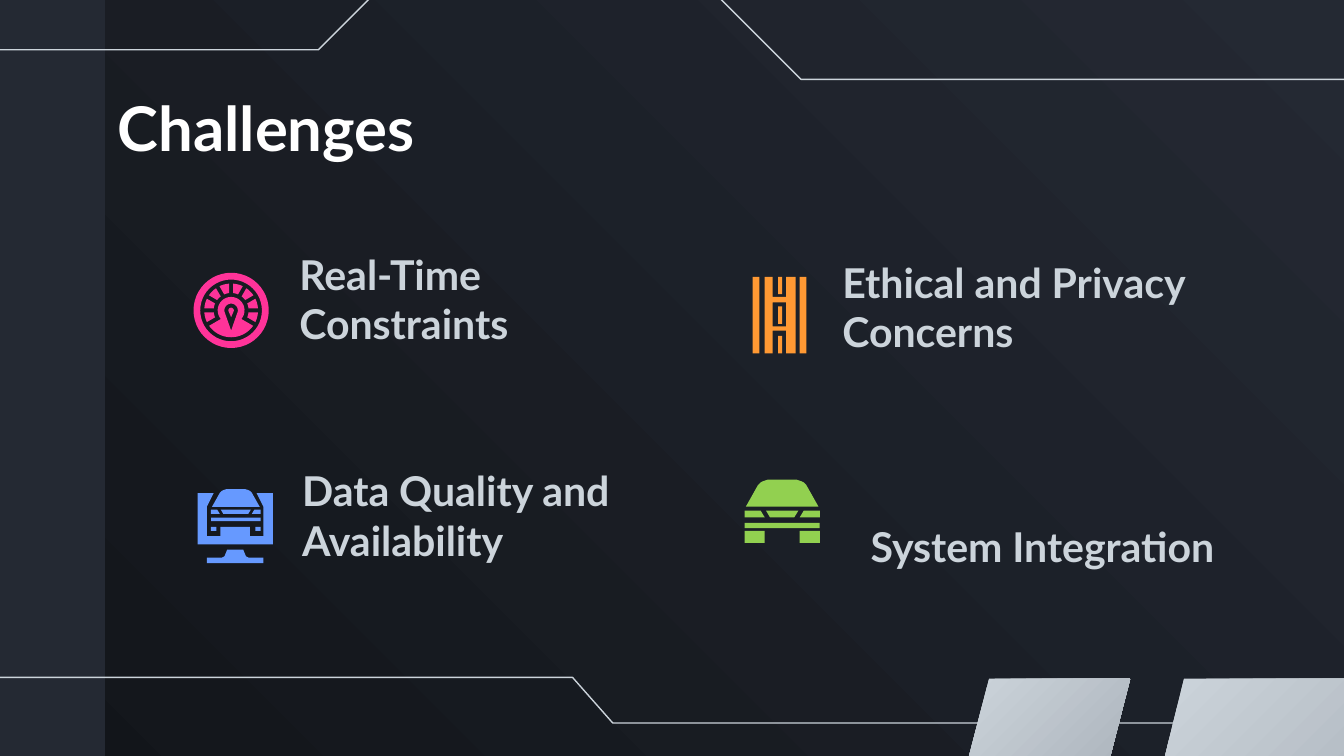
from math import asin, cos, degrees, radians, sin

from pptx import Presentation
from pptx.dml.color import RGBColor
from pptx.enum.shapes import MSO_SHAPE
from pptx.enum.text import MSO_ANCHOR
from pptx.util import Inches, Pt

RECTANGLE, DONUT = MSO_SHAPE.RECTANGLE, MSO_SHAPE.DONUT
TOP, BOTTOM = MSO_ANCHOR.TOP, MSO_ANCHOR.BOTTOM

NIGHT = RGBColor(0x12, 0x15, 0x1A)
SLATE = RGBColor(0x24, 0x29, 0x33)
SILVER = RGBColor(0xCC, 0xD4, 0xDB)
STEEL = RGBColor(0xAB, 0xB3, 0xBB)
WHITE = RGBColor(0xFF, 0xFF, 0xFF)
PINK = RGBColor(0xFF, 0x33, 0x99)
ORANGE = RGBColor(0xFF, 0x99, 0x33)
BLUE = RGBColor(0x66, 0x99, 0xFF)
GREEN = RGBColor(0x92, 0xD0, 0x50)

WIDTH = 10
HEIGHT = WIDTH * 9 / 16
SIDEBAR = 0.78
TITLE = "Challenges"
CHALLENGES = [
    ("Real-Time Constraints", (2.13, 1.88, 2.84, 0.81)),
    ("Ethical and Privacy Concerns", (6.17, 1.87, 2.84, 0.88)),
    ("Data Quality and Availability", (2.15, 3.49, 2.84, 0.81)),
    ("System Integration", (6.38, 3.45, 2.84, 0.9)),
]
CIRCUIT_LINES = [
    [(-0.04, 0.37), (2.37, 0.37), (2.8, -0.06), (5.31, -0.06), (5.96, 0.59), (10.13, 0.59)],
    [(-0.25, 5.04), (4.26, 5.04), (4.56, 5.38), (10.42, 5.38)],
]
SLANTED_PANELS = [
    [(7.36, 5.05), (7.17, 5.78), (8.22, 5.79), (8.41, 5.05)],
    [(8.81, 5.05), (8.63, 5.78), (10.84, 5.77), (10.84, 5.05)],
]


def blend(fill, first, last, angle):
    fill.gradient()
    fill.gradient_angle = angle
    for stop, color in zip(fill.gradient_stops, (first, last)):
        stop.color.rgb = color


def paint(shape, color):
    shape.shadow.inherit = False
    shape.fill.solid()
    shape.fill.fore_color.rgb = color
    shape.line.fill.background()


def outline(shapes, *contours, closed=True):
    scaled = [[(Inches(x), Inches(y)) for x, y in contour] for contour in contours]
    builder = shapes.build_freeform(*scaled[0][0])
    builder.add_line_segments(scaled[0][1:], close=closed)
    for contour in scaled[1:]:
        builder.move_to(*contour[0])
        builder.add_line_segments(contour[1:], close=closed)
    shape = builder.convert_to_shape()
    shape.shadow.inherit = False
    return shape


def block(shapes, color, left, top, width, height, kind=RECTANGLE):
    shape = shapes.add_shape(kind, Inches(left), Inches(top), Inches(width), Inches(height))
    paint(shape, color)
    return shape


def write(shapes, text, area, size=22, color=SILVER, anchor=BOTTOM):
    frame = shapes.add_textbox(*map(Inches, area)).text_frame
    frame.word_wrap = True
    frame.vertical_anchor = anchor
    frame.margin_left = frame.margin_right = Inches(0.1)
    frame.margin_top = frame.margin_bottom = Inches(0.1)
    paragraph = frame.paragraphs[0]
    paragraph.text = text
    font = paragraph.runs[0].font
    font.name, font.size, font.bold = "Lato", Pt(size), True
    font.color.rgb = color


def arc(center, radius, start, end, steps=24):
    angles = [radians(start + (end - start) * i / steps) for i in range(steps + 1)]
    return [(center[0] + radius * cos(a), center[1] + radius * sin(a)) for a in angles]


def draw_gauge(shapes, color, center):
    x, y = center
    rim, hub, reach, gap = 0.28, 0.1, 0.2, 0.03
    ring = block(shapes, color, x - rim, y - rim, 2 * rim, 2 * rim, DONUT)
    ring.adjustments[0] = 0.09
    for middle in range(165, 376, 30):
        outer, inner = (15 - degrees(asin(gap / 2 / r)) for r in (reach, 0.13))
        tick = (arc(center, reach, middle - outer, middle + outer, 6)
                + arc(center, 0.13, middle + inner, middle - inner, 6))
        paint(outline(shapes, tick), color)
    body = arc(center, hub, 140, 400) + arc(center, reach, 35, 145)
    socket = arc(center, 0.05, 165, 375) + [(x, y + 0.15)]
    paint(outline(shapes, body, socket), color)
    needle = arc(center, 0.02, 165, 375) + [(x, y + 0.05)]
    paint(outline(shapes, needle), color)


def draw_road(shapes, color, left, top):
    length = 0.57
    for edge in (0, 0.35):
        block(shapes, color, left + edge, top, 0.05, length)
    for row in range(3):
        block(shapes, color, left + 0.19, top + 0.22 * row, 0.03, 0.13)
    rails = [(0.09, 0), (0.09, length), (0.15, length), (0.15, 0.4), (0.25, 0.4), (0.25, length),
             (0.32, length), (0.32, 0), (0.25, 0), (0.25, 0.15), (0.15, 0.15), (0.15, 0)]
    opening = [(0.15, 0.19), (0.25, 0.19), (0.25, 0.37), (0.15, 0.37)]
    moved = [[(left + x, top + y) for x, y in part] for part in (rails, opening)]
    paint(outline(shapes, *moved), color)


def draw_car(shapes, color, left, top, scale, lamp, wheel):
    width = 0.56

    def part(points):
        paint(outline(shapes, [(left + x * scale, top + y * scale) for x, y in points]), color)

    def mirrored(points):
        return [(width - x, y) for x, y in reversed(points)]

    roof_side = [(0.01, 0.2), (0.1, 0.04), (0.12, 0.02), (0.14, 0.01), (0.17, 0)]
    part(roof_side + mirrored(roof_side))
    headlamp = [(0, 0.23), (0, 0.28), (lamp, 0.28), (lamp - 0.03, 0.23)]
    part(headlamp)
    part(mirrored(headlamp))
    grille_side = [(lamp + 0.04, 0.28), (lamp + 0.01, 0.23)]
    part(grille_side + mirrored(grille_side))
    block(shapes, color, left, top + 0.32 * scale, width * scale, 0.04 * scale)
    wheel_width, wheel_height = wheel
    for x in (left, left + width * scale - wheel_width):
        block(shapes, color, x, top + 0.47 * scale - wheel_height, wheel_width, wheel_height)


def draw_monitor(shapes, color, left, top):
    middle = left + 0.28
    half_frame = [(-0.28, 0.38), (-0.28, 0), (-0.16, 0), (-0.21, 0.1),
                  (-0.21, 0.32), (-0.11, 0.32), (-0.11, 0.25)]
    half_stand = [(-0.21, 0.52), (-0.21, 0.48), (-0.1, 0.48), (-0.08, 0.47), (-0.06, 0.42)]
    for half in (half_frame, half_stand):
        points = half + [(-x, y) for x, y in reversed(half)]
        paint(outline(shapes, [(middle + x, top + y) for x, y in points]), color)


def main():
    deck = Presentation()
    deck.slide_width, deck.slide_height = Inches(WIDTH), Inches(HEIGHT)
    slide = deck.slides.add_slide(deck.slide_layouts[6])
    blend(slide.background.fill, NIGHT, SLATE, 45)
    shapes = slide.shapes

    block(shapes, SLATE, 0, 0, SIDEBAR, HEIGHT)
    for points in CIRCUIT_LINES:
        circuit = outline(shapes, points, closed=False)
        circuit.fill.background()
        circuit.line.color.rgb = SILVER
        circuit.line.width = Pt(0.75)
    for points in SLANTED_PANELS:
        panel = outline(shapes, points)
        blend(panel.fill, SILVER, STEEL, 315)
        panel.line.fill.background()

    write(shapes, TITLE, (SIDEBAR, 0.57, 8.44, 0.63), size=33, color=WHITE, anchor=TOP)
    for text, area in CHALLENGES:
        write(shapes, text, area)

    draw_car(shapes.add_group_shape().shapes, GREEN, 5.54, 3.57, 1, 0.15, (0.15, 0.09))
    draw_gauge(shapes.add_group_shape().shapes, PINK, (1.72, 2.31))
    draw_road(shapes.add_group_shape().shapes, ORANGE, 5.6, 2.06)
    workstation = shapes.add_group_shape().shapes
    draw_monitor(workstation, BLUE, 1.47, 3.67)
    draw_car(workstation, BLUE, 1.57, 3.64, 0.66, 0.1, (0.04, 0.03))
    deck.save("out.pptx")


if __name__ == "__main__":
    main()
